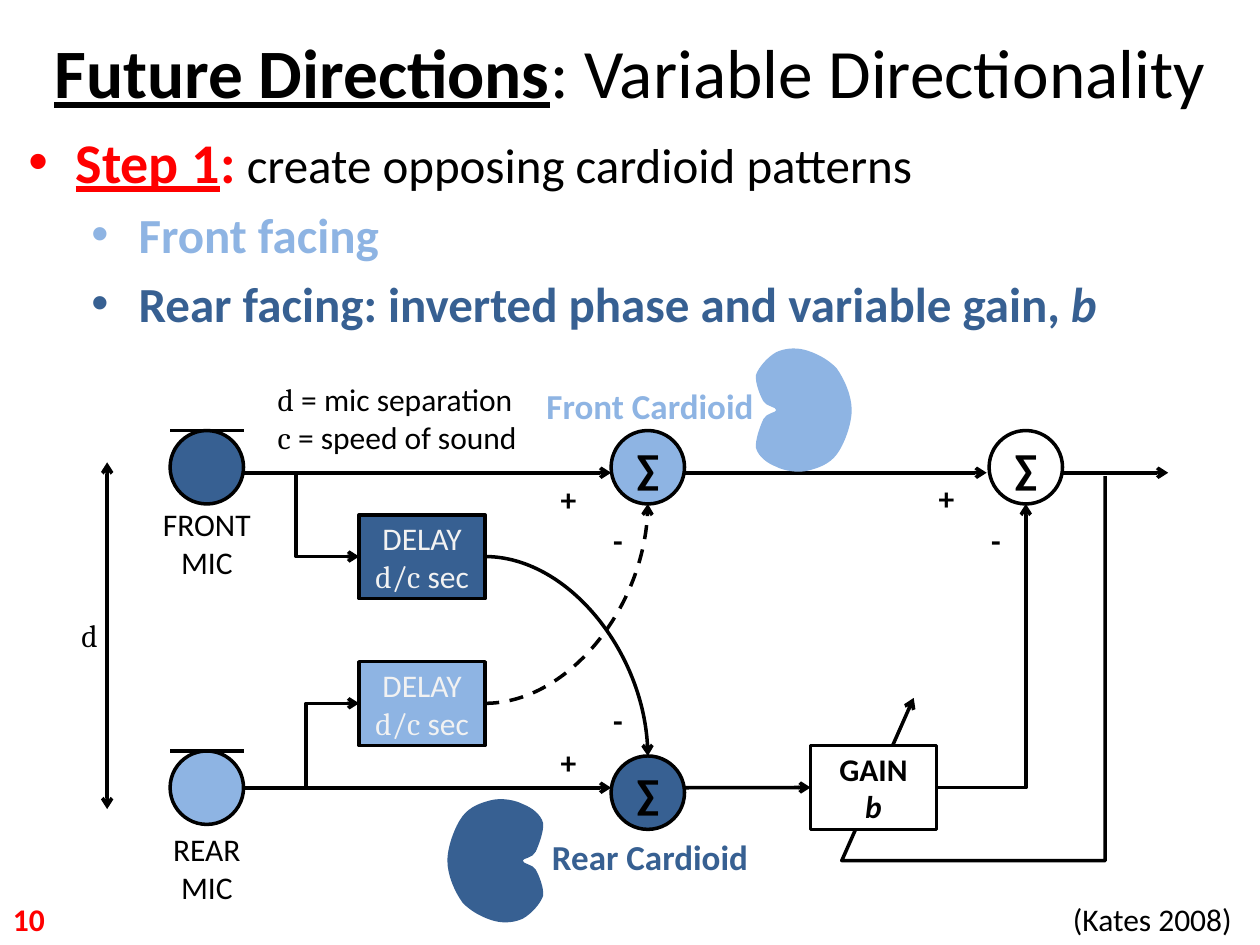
import pptx
import pptx.util
import pptx.dml.color
import pptx.enum.dml
import pptx.enum.shapes
import pptx.enum.text
import pptx.oxml
import pptx.oxml.ns
import lxml.etree

Cm, Pt = pptx.util.Cm, pptx.util.Pt
SHAPES = pptx.enum.shapes.MSO_SHAPE
LINKS = pptx.enum.shapes.MSO_CONNECTOR
ANCHOR = pptx.enum.text.MSO_ANCHOR
ALIGN = pptx.enum.text.PP_ALIGN
FIT = pptx.enum.text.MSO_AUTO_SIZE
qn = pptx.oxml.ns.qn

COLORS = {"black": "000000", "white": "FFFFFF", "red": "FF0000",
          "front": "8EB4E3", "rear": "376092", "pale": "F2F2F2"}

BOLD = {"bold": True}
MATH = {"name": "Cambria"}
TITLE = [[("Future Directions", {"bold": True, "underline": True}), (": Variable Directionality", {})]]
STEPS = [
    (0, [("Step 1", {"size": Pt(32), "color": "red", "bold": True, "underline": True}),
         (":", {"size": Pt(32), "color": "red", "bold": True}),
         (" ", BOLD), ("create opposing cardioid patterns", {})]),
    (1, [("Front facing", {"color": "front", "bold": True})]),
    (1, [("Rear facing: inverted phase and variable gain, ", {"color": "rear", "bold": True}),
         ("b", {"color": "rear", "bold": True, "italic": True})]),
]
INDENTS = [(0.95, -0.95), (2.22, -0.95)]

MICS = [(3.43, 8.68, "rear"), (3.43, 15.14, "front")]
SUMS = [(12.32, 8.68, "front"), (12.32, 15.24, "rear"), (19.94, 8.68, None)]
DIAMETER = 1.48
DELAY = [[("DELAY", {})], [("d/c", MATH), (" sec", {})]]
GAIN = [[("GAIN", BOLD)], [("b", {"bold": True, "italic": True})]]
BLOCKS = [
    ("front delay", 7.24, 10.38, "rear", DELAY, "pale"),
    ("rear delay", 7.24, 13.34, "front", DELAY, "pale"),
    ("gain", 16.34, 15.03, "white", GAIN, "black"),
]
BLOCK_SIZE = (2.54, 1.69)

FRONT_Y, REAR_Y = 9.53, 15.88
STRAIGHT = [
    (4.91, FRONT_Y, 12.32, FRONT_Y), (4.91, REAR_Y, 12.32, REAR_Y),
    (13.8, FRONT_Y, 19.89, FRONT_Y), (21.41, FRONT_Y, 23.55, FRONT_Y),
]
ROUTED = [
    ("bentConnector3", 5.97, FRONT_Y, 7.24, 11.22, False),
    ("bentConnector3", 6.17, REAR_Y, 7.24, 14.18, False),
    ("curvedConnector2", 9.78, 11.22, 13.06, 15.24, False),
    ("curvedConnector2", 9.78, 14.18, 13.06, 10.16, True),
    ("bentConnector2", 18.88, REAR_Y, 20.68, 10.16, False),
]
FEEDBACK = [(22.28, 9.6), (22.28, 17.35), (16.97, 17.35), (18.42, 14.07)]

CARDIOID = [
    (10.54, 17.35),
    (10.54, 17.3), (10.74, 17.3), (10.8, 17.17), (10.87, 17.02), (10.97, 16.74), (10.95, 16.59),
    (10.9, 16.41), (10.72, 16.28), (10.54, 16.21), (10.39, 16.13), (10.11, 16.08), (9.91, 16.13),
    (9.7, 16.18), (9.47, 16.26), (9.32, 16.46), (9.17, 16.66), (9.02, 17.07), (9.02, 17.35),
    (9.02, 17.65), (9.17, 17.98), (9.32, 18.19), (9.5, 18.39), (9.78, 18.52), (9.98, 18.57),
    (10.19, 18.62), (10.39, 18.59), (10.54, 18.52), (10.72, 18.42), (10.9, 18.21), (10.95, 18.06),
    (10.97, 17.91), (10.87, 17.65), (10.8, 17.53), (10.74, 17.42), (10.54, 17.42), (10.54, 17.35),
]
FRONT_CARDIOID = [(26.19 - x, 25.62 - y) for x, y in CARDIOID]

LABELS = [
    (21.38, 18.01, 4.02, 1.02, ALIGN.LEFT, [[("(Kates 2008)", {})]]),
    (2.8, 16.61, 2.74, 1.78, ALIGN.CENTER, [[("REAR", {})], [("MIC", {})]]),
    (2.8, 10.06, 2.74, 1.78, ALIGN.CENTER, [[("FRONT", {})], [("MIC", {})]]),
    (1.39, 12.29, 0.51, 1.02, ALIGN.LEFT, [[("d", MATH)]]),
    (10.54, 7.62, 5.13, 1.12, ALIGN.CENTER,
     [[("Front Cardioid", {"size": Pt(20), "color": "front", "bold": True})]]),
    (10.54, 16.71, 5.13, 1.12, ALIGN.CENTER,
     [[("Rear Cardioid", {"size": Pt(20), "color": "rear", "bold": True})]]),
    (0.01, 18.02, 6.25, 1.02, ALIGN.LEFT, [[("10", {"color": "red", "bold": True})]]),
    (5.35, 7.54, 5.66, 1.78, ALIGN.LEFT,
     [[("d", MATH), (" = mic separation", {})], [("c", MATH), (" = speed of sound", {})]]),
]
SIGNS = [("-", 12.11, 10.37), ("-", 12.11, 14.0), ("-", 19.73, 10.37),
         ("+", 11.05, 9.55), ("+", 11.05, 14.86), ("+", 18.67, 9.53)]
SIGN_SIZES = {"-": 0.71, "+": 0.84}


def rgb(color):
    return pptx.dml.color.RGBColor.from_string(COLORS[color])


def add_spans(para, spans, **base):
    for text, changes in spans:
        style = {"name": "Calibri", "size": Pt(18), "color": "black",
                 "bold": False, "italic": False, "underline": False, **base, **changes}
        span = para.add_run()
        span.text = text
        span.font.color.rgb = rgb(style.pop("color"))
        for key, value in style.items():
            setattr(span.font, key, value)


def fill_text(box, paras, align, frame_format, **base):
    frame = box.text_frame
    for key, value in frame_format.items():
        setattr(frame, key, value)
    for index, spans in enumerate(paras):
        para = frame.add_paragraph() if index else frame.paragraphs[0]
        para.alignment = align
        add_spans(para, spans, **base)


def add_label(page, left, top, width, height, align, paras, wrap=True):
    box = page.shapes.add_textbox(Cm(left), Cm(top), Cm(width), Cm(height))
    fill_text(box, paras, align, {"word_wrap": wrap, "auto_size": FIT.SHAPE_TO_FIT_TEXT})


def outline(shape):
    shape.line.color.rgb = rgb("black")
    shape.line.width = Pt(2)


def paint(shape, color):
    shape.shadow.inherit = False
    if color:
        shape.fill.solid()
        shape.fill.fore_color.rgb = rgb(color)
    else:
        shape.fill.background()


def add_arrows(shape, ends):
    line = shape.line._get_or_add_ln()
    for end in ends:
        lxml.etree.SubElement(line, qn(f"a:{end}")).set("type", "arrow")


def add_link(page, x1, y1, x2, y2, kind=LINKS.STRAIGHT, ends=("tailEnd",), dashed=False):
    link = page.shapes.add_connector(kind, Cm(x1), Cm(y1), Cm(x2), Cm(y2))
    outline(link)
    if dashed:
        link.line.dash_style = pptx.enum.dml.MSO_LINE.DASH
    add_arrows(link, ends)
    lxml.etree.SubElement(link._element.spPr, qn("a:effectLst"))
    return link


def add_routed(page, preset, x1, y1, x2, y2, dashed):
    kind = LINKS.CURVE if preset.startswith("curved") else LINKS.ELBOW
    link = add_link(page, x1, y1, x2, y2, kind, dashed=dashed)
    geometry = link._element.spPr.find(qn("a:prstGeom"))
    geometry.set("prst", preset)
    if preset == "bentConnector3":
        guide = lxml.etree.SubElement(geometry.find(qn("a:avLst")), qn("a:gd"))
        guide.set("name", "adj1")
        guide.set("fmla", "val 0")


def add_outline(page, points, closed):
    builder = page.shapes.build_freeform(Cm(points[0][0]), Cm(points[0][1]))
    builder.add_line_segments([(Cm(x), Cm(y)) for x, y in points[1:]], close=closed)
    return builder.convert_to_shape()


def bend_segments(shape):
    segments = list(shape._element.spPr.iter(qn("a:lnTo")))
    for start in range(0, len(segments), 3):
        curve, *others = segments[start:start + 3]
        curve.tag = qn("a:cubicBezTo")
        for other in others:
            curve.append(other[0])
            other.getparent().remove(other)


def add_node(page, kind, left, top, width, height, color):
    node = page.shapes.add_shape(kind, Cm(left), Cm(top), Cm(width), Cm(height))
    paint(node, color)
    outline(node)
    return node


def place(box, left, top, width, height):
    for key, value in {"left": left, "top": top, "width": width, "height": height}.items():
        setattr(box, key, Cm(value))


def add_heading(page):
    title, body = page.placeholders
    place(title, 0, 0, 25.4, 2.84)
    place(body, 0.32, 2.44, 24.31, 4.9)
    middle = {"vertical_anchor": ANCHOR.MIDDLE, "auto_size": FIT.NONE}
    fill_text(title, TITLE, ALIGN.CENTER, middle, size=Pt(39.6))
    body.text_frame.auto_size = FIT.NONE
    for index, (level, spans) in enumerate(STEPS):
        para = body.text_frame.add_paragraph() if index else body.text_frame.paragraphs[0]
        para.level = level
        properties = para._p.get_or_add_pPr()
        for key, value in zip(("marL", "indent"), INDENTS[level]):
            properties.set(key, str(Cm(value)))
        lxml.etree.SubElement(properties, qn("a:buFont")).set("typeface", "Arial")
        lxml.etree.SubElement(properties, qn("a:buChar")).set("char", "•")
        add_spans(para, spans, size=Pt(28))


def add_diagram(page):
    feedback = add_outline(page, FEEDBACK, False)
    paint(feedback, None)
    outline(feedback)
    add_arrows(feedback, ["tailEnd"])
    for left, top, color in MICS:
        add_node(page, SHAPES.OVAL, left, top, DIAMETER, DIAMETER, color)
        add_link(page, left, top, left + DIAMETER, top, ends=())
    centred = {"vertical_anchor": ANCHOR.MIDDLE, "word_wrap": True}
    for left, top, color in SUMS:
        node = add_node(page, SHAPES.OVAL, left, top, DIAMETER, DIAMETER, color)
        fill_text(node, [[("∑", BOLD)]], ALIGN.CENTER, centred, size=Pt(24))
    blocks = {}
    for name, left, top, color, paras, ink in BLOCKS:
        blocks[name] = add_node(page, SHAPES.RECTANGLE, left, top, *BLOCK_SIZE, color)
        fill_text(blocks[name], paras, ALIGN.CENTER, centred, color=ink)
    add_link(page, 2.16, 9.32, 2.16, 16.31, ends=("headEnd", "tailEnd"))
    for ends in STRAIGHT:
        add_link(page, *ends)
    add_link(page, 13.8, REAR_Y, 16.34, REAR_Y).end_connect(blocks["gain"], 1)
    for route in ROUTED:
        add_routed(page, *route)
    for points, color in ((CARDIOID, "rear"), (FRONT_CARDIOID, "front")):
        cardioid = add_outline(page, points, True)
        bend_segments(cardioid)
        paint(cardioid, color)
        cardioid.line.fill.background()


def main():
    deck = pptx.Presentation()
    deck.slide_width, deck.slide_height = Cm(25.4), Cm(19.05)
    page = deck.slides.add_slide(deck.slide_layouts[1])
    add_heading(page)
    add_diagram(page)
    for label in LABELS:
        add_label(page, *label)
    for sign, left, top in SIGNS:
        add_label(page, left, top, SIGN_SIZES[sign], 1.02, ALIGN.LEFT, [[(sign, BOLD)]], wrap=False)
    deck.save("out.pptx")


if __name__ == "__main__":
    main()
